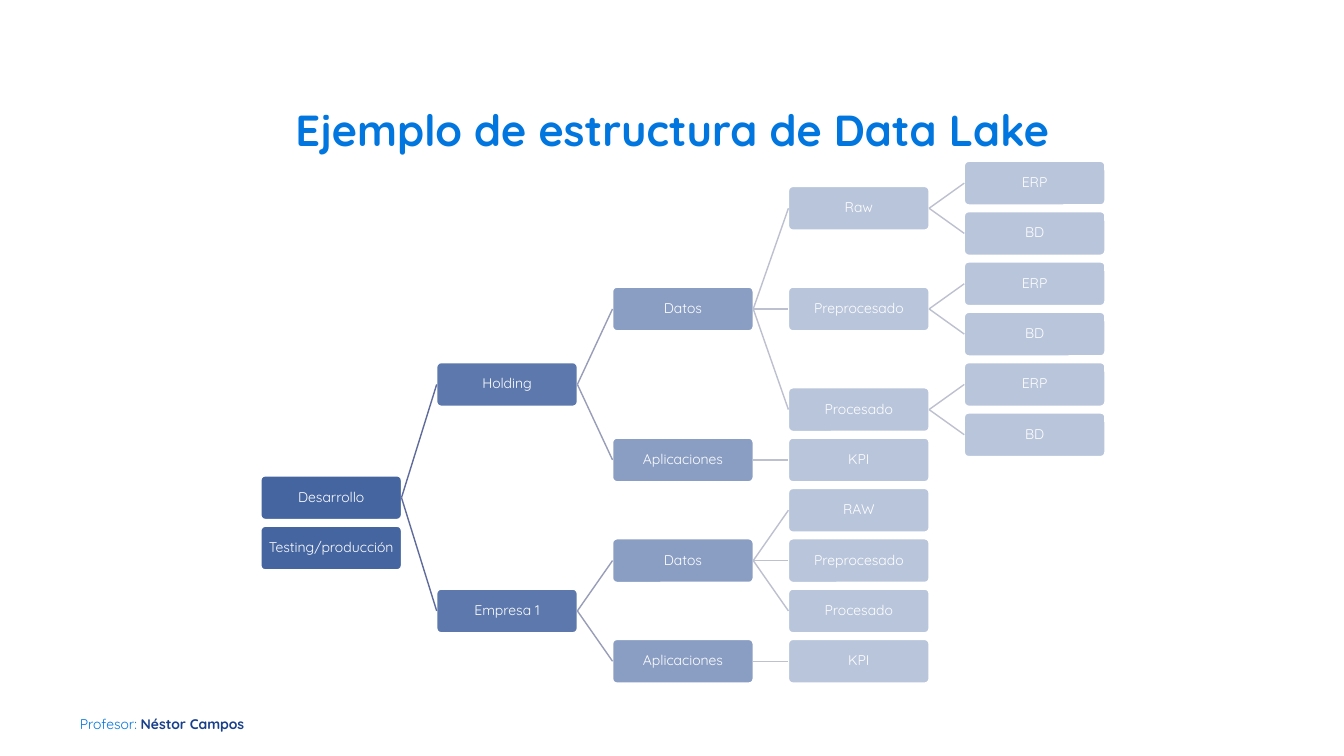
"""Builds the slide showing an example folder tree of a data lake."""
from lxml import etree
from pptx import Presentation
from pptx.dml.color import RGBColor
from pptx.enum.shapes import MSO_CONNECTOR, MSO_SHAPE
from pptx.enum.text import MSO_ANCHOR, PP_ALIGN
from pptx.oxml.ns import qn
from pptx.util import Pt

ROUNDED = MSO_SHAPE.ROUNDED_RECTANGLE
STRAIGHT = MSO_CONNECTOR.STRAIGHT
LEFT, CENTER = PP_ALIGN.LEFT, PP_ALIGN.CENTER
TOP, MIDDLE = MSO_ANCHOR.TOP, MSO_ANCHOR.MIDDLE
LEFT_SITE, RIGHT_SITE = 1, 3

FONT = "Quicksand"
BLUE = RGBColor(0x01, 0x76, 0xDE)
NAVY = RGBColor(0x17, 0x3F, 0x8A)
WHITE = RGBColor(0xFF, 0xFF, 0xFF)
DARK_LINK = RGBColor(0x5F, 0x6B, 0x9B)
MID_LINK = RGBColor(0x98, 0x9D, 0xB8)
PALE_LINK = RGBColor(0xBD, 0xC0, 0xCF)

OPACITY = [80, 70, 50, 30, 30]
LINK_COLORS = [DARK_LINK, MID_LINK, PALE_LINK, PALE_LINK]
TREE_LEFT, TREE_TOP = 186.3, 115.2
BOX_W, BOX_H = 100.5, 31.2
COL_STEP, ROW_STEP = 1.25 * BOX_W, 35.95

SOURCES = [("ERP", []), ("BD", [])]
TREE = [
    ("Desarrollo", [
        ("Holding", [
            ("Datos", [("Raw", SOURCES), ("Preprocesado", SOURCES), ("Procesado", SOURCES)]),
            ("Aplicaciones", [("KPI", [])]),
        ]),
        ("Empresa 1", [
            ("Datos", [("RAW", []), ("Preprocesado", []), ("Procesado", [])]),
            ("Aplicaciones", [("KPI", [])]),
        ]),
    ]),
    ("Testing/producción", []),
]


def write_text(shape, runs, size=10, align=CENTER, anchor=MIDDLE, margin=0.0, spacing=0.9):
    """Fill a shape with one paragraph of (text, colour, bold) runs."""
    tf = shape.text_frame
    tf.word_wrap = True
    tf.vertical_anchor = anchor
    tf.margin_left = tf.margin_right = tf.margin_top = tf.margin_bottom = Pt(margin)
    p = tf.paragraphs[0]
    p.alignment = align
    p.line_spacing = spacing
    for text, color, bold in runs:
        r = p.add_run()
        r.text = text
        r.font.name = FONT
        r.font.size = Pt(size)
        r.font.bold = bold
        r.font.color.rgb = color


def add_label(slide, left, top, width, height, runs, **text_format):
    """Add a text box."""
    box = slide.shapes.add_textbox(Pt(left), Pt(top), Pt(width), Pt(height))
    write_text(box, runs, anchor=TOP, **text_format)


def add_node(slide, text, level, row):
    """Add a rounded box at a column and row of the tree."""
    sp = slide.shapes.add_shape(
        ROUNDED, Pt(TREE_LEFT + level * COL_STEP), Pt(TREE_TOP + row * ROW_STEP),
        Pt(BOX_W), Pt(BOX_H))
    sp.adjustments[0] = 0.1
    sp.shadow.inherit = False
    sp.fill.solid()
    sp.fill.fore_color.rgb = NAVY
    color = sp.fill._xPr.find(qn("a:solidFill"))[0]
    etree.SubElement(color, qn("a:alpha")).set("val", str(OPACITY[level] * 1000))
    sp.line.color.rgb = WHITE
    sp.line.width = Pt(1)
    write_text(sp, [(text, WHITE, False)], margin=1.7)
    return sp


def add_link(slide, parent, child, color):
    """Join the right side of a parent to the left side of a child."""
    link = slide.shapes.add_connector(STRAIGHT, 0, 0, 0, 0)
    link.begin_connect(parent, RIGHT_SITE)
    link.end_connect(child, LEFT_SITE)
    link.line.color.rgb = color
    link.line.width = Pt(1)
    etree.SubElement(link._element.spPr, qn("a:effectLst"))


def add_branch(slide, node, level, next_rows):
    """Add a node centred on its children, and return its box and row."""
    text, children = node
    branches = [add_branch(slide, child, level + 1, next_rows) for child in children]
    if branches:
        row = (branches[0][1] + branches[-1][1]) / 2
    else:
        row = next_rows[level]
    next_rows[level] = row + 1
    box = add_node(slide, text, level, row)
    for child_box, _ in branches:
        add_link(slide, box, child_box, LINK_COLORS[level])
    return box, row


def main():
    """Build and save the slide."""
    prs = Presentation()
    prs.slide_width, prs.slide_height = Pt(960), Pt(540)
    slide = prs.slides.add_slide(prs.slide_layouts[6])
    add_label(slide, 57, 501, 144, 19,
              [("Profesor: ", BLUE, False), ("Néstor Campos", NAVY, True)],
              align=LEFT, spacing=Pt(22))
    add_label(slide, 134, 83.5, 692, 49,
              [("Ejemplo de estructura de Data Lake", BLUE, True)],
              size=31, spacing=Pt(27))
    next_rows = [0] * len(OPACITY)
    for root in TREE:
        add_branch(slide, root, 0, next_rows)
    prs.save("out.pptx")


if __name__ == "__main__":
    main()
